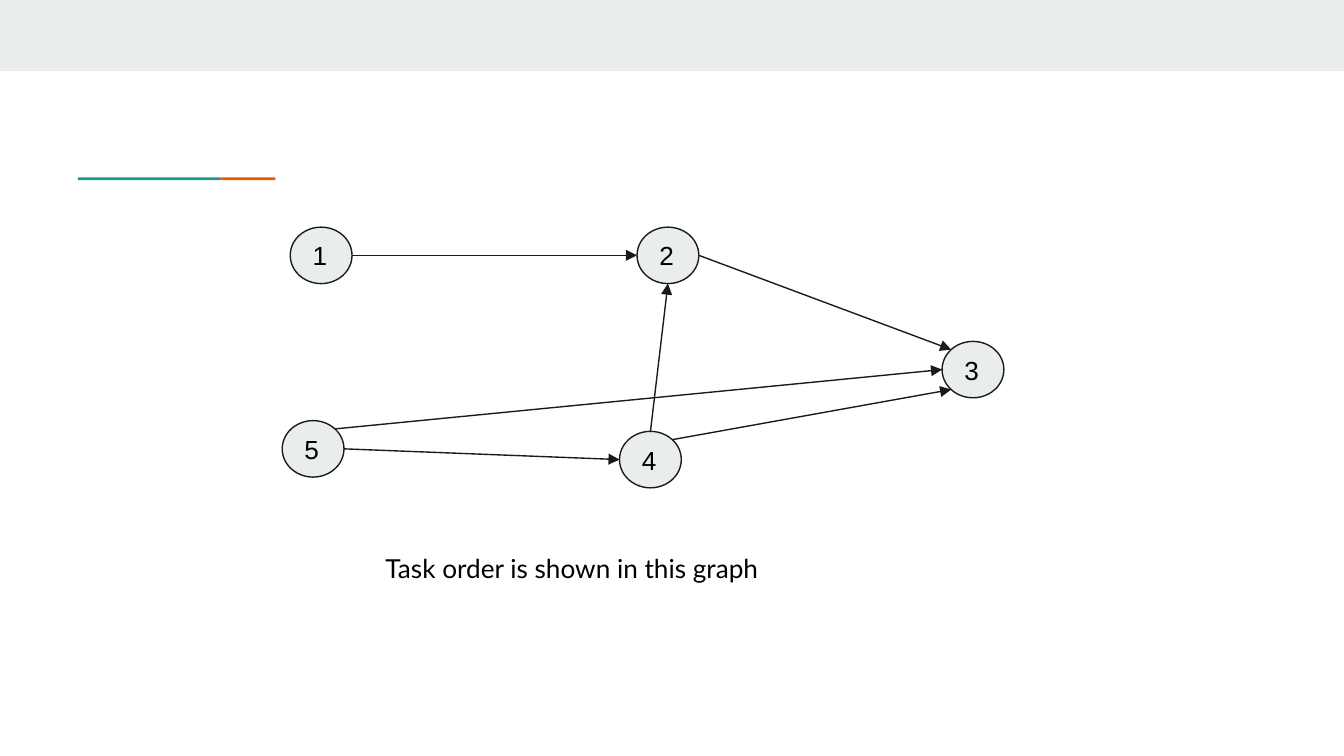
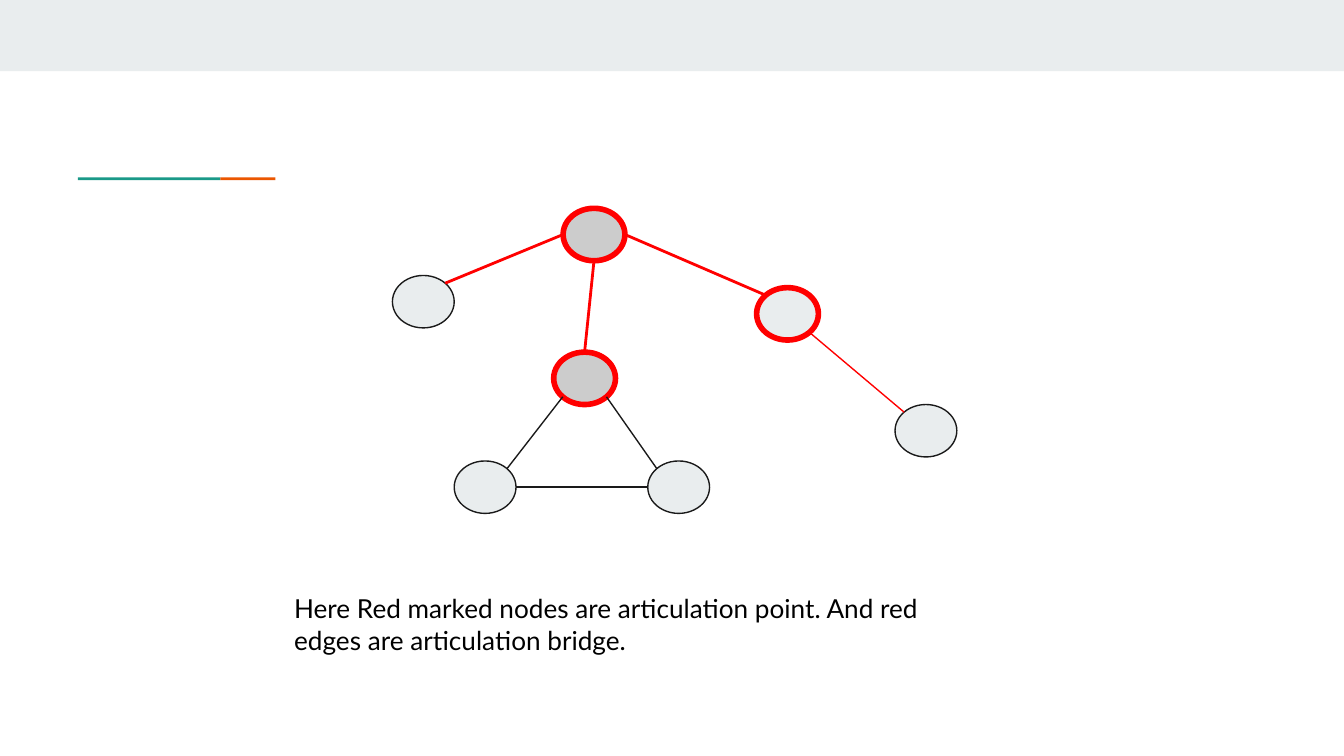
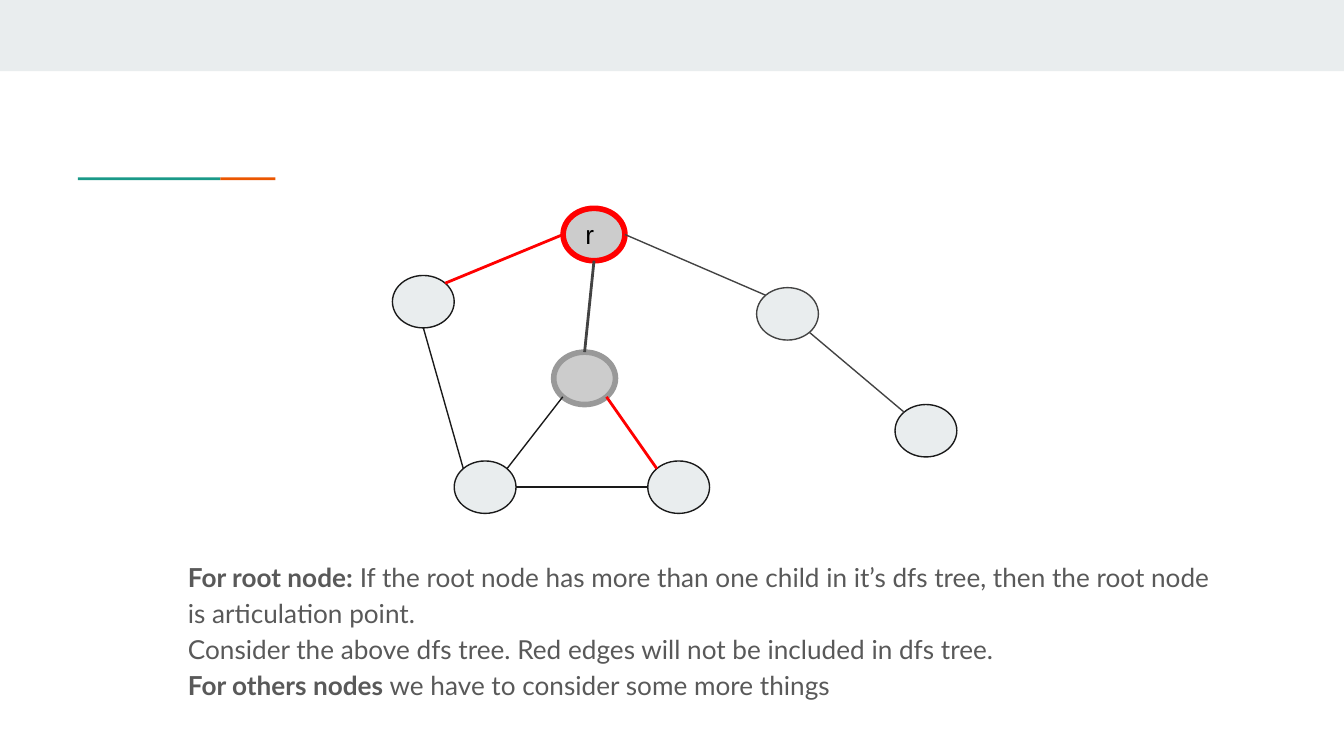
import math
import pptx
import pptx.util
import pptx.dml.color
import pptx.oxml
import pptx.oxml.ns
import pptx.enum.shapes
import pptx.enum.text

WIDE = 10
HIGH = WIDE * 9 / 16
PALE, GREY, INK, DARK, MID, RED = (
    "E9EDEE", "CCCCCC", "1A1A1A", "434343", "999999", "FF0000")
TEAL, ORANGE, BLACK, SOFT = "1A9988", "EB5600", "000000", "595959"
THIN, BOLD, THICK = 0.75, 1.5, 3

# Shared bars: left, top, width, height, colour
BARS = [(0, 0, WIDE, 0.53, PALE),
        (0.58, 1.32, 1.06, 0.02, TEAL),
        (1.64, 1.32, 0.41, 0.02, ORANGE)]

# Task graph: top left corner of each node, then edges between compass points
TASKS = {"2": (4.74, 1.69), "3": (7.01, 2.54), "4": (4.61, 3.21),
         "5": (2.1, 3.13), "1": (2.16, 1.69)}
ORDER = [("2", "E", "3", "NW"), ("4", "NE", "3", "SW"), ("4", "N", "2", "S"),
         ("1", "E", "2", "W"), ("5", "E", "4", "W"), ("5", "NE", "3", "W")]

# Tree with a cycle, used on two slides
TREE = {"root": (4.19, 1.55), "left": (2.92, 2.05), "right": (5.63, 2.14),
        "hub": (4.12, 2.62), "low": (3.38, 3.43), "peer": (4.82, 3.43),
        "leaf": (6.66, 3.01)}
LINKS = [("left", "NE", "root", "W"), ("root", "E", "right", "NW"),
         ("root", "S", "hub", "N"), ("hub", "SW", "low", "NE"),
         ("hub", "SE", "peer", "NW"), ("low", "E", "peer", "W"),
         ("right", "SE", "leaf", "NW")]
BACK = ("left", "S", "low", "NW")

# Each slide: nodes, node height, edges, styles that differ, and the text.
# Node style: fill, line, width. Edge style: line, width.
SLIDES = [
    dict(nodes=TASKS, tall=0.42, edges=ORDER, arrow=True,
         names={name: name for name in TASKS}, looks={}, paint={},
         box=(2.77, 4.01, 4.96, 0.86), ink=BLACK, indent=0, space=1,
         text=[("", "Task order is shown in this graph")]),
    dict(nodes=TREE, tall=0.39, edges=LINKS, arrow=False, names={},
         looks={"root": (GREY, RED, THICK), "hub": (GREY, RED, THICK),
                "right": (PALE, RED, THICK)},
         paint={("left", "root"): (RED, BOLD), ("root", "right"): (RED, BOLD),
                ("root", "hub"): (RED, BOLD), ("right", "leaf"): (RED, THIN)},
         box=(2.09, 4.31, 5.26, 1.1), ink=BLACK, indent=0, space=1,
         text=[("", "Here Red marked nodes are articulation point. "
                    "And red edges are articulation bridge.")]),
    dict(nodes=TREE, tall=0.39, edges=LINKS + [BACK], arrow=False,
         names={"root": "r"},
         looks={"root": (GREY, RED, THICK), "hub": (GREY, MID, THICK),
                "right": (PALE, DARK, THIN)},
         paint={("left", "root"): (RED, BOLD), ("root", "right"): (DARK, THIN),
                ("root", "hub"): (DARK, BOLD), ("hub", "peer"): (RED, BOLD),
                ("right", "leaf"): (DARK, THIN)},
         box=(0.8, 4.04, 8.41, 1.28), ink=SOFT, indent=0.5, space=1.15,
         text=[("For root node:",
                " If the root node has more than one child in it’s dfs tree, "
                "then the root node is articulation point.\n"
                "Consider the above dfs tree. "
                "Red edges will not be included in dfs tree."),
               ("For others nodes",
                " we have to consider some more things")]),
]

NODE = 0.46
TURNS = ["E", "SE", "S", "SW", "W", "NW", "N", "NE"]
SHAPE = pptx.enum.shapes.MSO_SHAPE
inch = pptx.util.Inches


def tint(code):
    return pptx.dml.color.RGBColor.from_string(code)


def style(run, font, code, bold=False):
    run.font.name, run.font.size = font, pptx.util.Pt(14)
    run.font.bold = bold
    run.font.color.rgb = tint(code)


def pad(frame):
    frame.word_wrap = True
    frame.margin_left = frame.margin_right = inch(0.1)
    frame.margin_top = frame.margin_bottom = inch(0.1)


def draw(slide, kind, box, fill, line=None, width=THIN):
    shape = slide.shapes.add_shape(kind, *map(inch, box))
    shape.shadow.inherit = False
    shape.fill.solid()
    shape.fill.fore_color.rgb = tint(fill)
    if line:
        shape.line.color.rgb = tint(line)
        shape.line.width = pptx.util.Pt(width)
    else:
        shape.line.fill.background()
    return shape


def node(slide, spot, tall, look, name):
    shape = draw(slide, SHAPE.OVAL, (*spot, NODE, tall), *look)
    if name:
        frame = shape.text_frame
        pad(frame)
        frame.vertical_anchor = pptx.enum.text.MSO_ANCHOR.MIDDLE
        frame.text = name
        frame.paragraphs[0].alignment = pptx.enum.text.PP_ALIGN.LEFT
        style(frame.paragraphs[0].runs[0], "Arial", BLACK)


def rim(spot, tall, side):
    """Point on a node's outline at a compass side."""
    turn = TURNS.index(side) * math.pi / 4
    return (inch(spot[0] + NODE / 2 * (1 + math.cos(turn))),
            inch(spot[1] + tall / 2 * (1 + math.sin(turn))))


def edge(slide, start, end, code, width, arrow):
    link = slide.shapes.add_connector(
        pptx.enum.shapes.MSO_CONNECTOR.STRAIGHT, *start, *end)
    link.line.color.rgb = tint(code)
    link.line.width = pptx.util.Pt(width)
    make = pptx.oxml.xmlchemy.OxmlElement
    link._element.spPr.append(make("a:effectLst"))
    if arrow:
        tail = make("a:tailEnd")
        tail.set("type", "triangle")
        link.line._get_or_add_ln().append(tail)


def note(slide, page):
    frame = slide.shapes.add_textbox(*map(inch, page["box"])).text_frame
    pad(frame)
    for i, (head, body) in enumerate(page["text"]):
        para = frame.add_paragraph() if i else frame.paragraphs[0]
        para.line_spacing = page["space"]
        para._p.get_or_add_pPr().set("marL", str(inch(page["indent"])))
        if head:
            run = para.add_run()
            run.text = head
            style(run, "Lato", page["ink"], True)
        for j, row in enumerate(body.split("\n")):
            if j:
                para.add_line_break()
            run = para.add_run()
            run.text = row
            style(run, "Lato", page["ink"])


def build(deck, page):
    slide = deck.slides.add_slide(deck.slide_layouts[6])
    for *box, fill in BARS:
        draw(slide, SHAPE.RECTANGLE, box, fill)
    nodes, tall = page["nodes"], page["tall"]
    for key, spot in nodes.items():
        look = page["looks"].get(key, (PALE, INK, THIN))
        node(slide, spot, tall, look, page["names"].get(key))
    for here, out, there, into in page["edges"]:
        code, width = page["paint"].get((here, there), (INK, THIN))
        edge(slide, rim(nodes[here], tall, out), rim(nodes[there], tall, into),
             code, width, page["arrow"])
    note(slide, page)


def main():
    deck = pptx.Presentation()
    deck.slide_width, deck.slide_height = inch(WIDE), inch(HIGH)
    for page in SLIDES:
        build(deck, page)
    deck.save("out.pptx")


if __name__ == "__main__":
    main()
